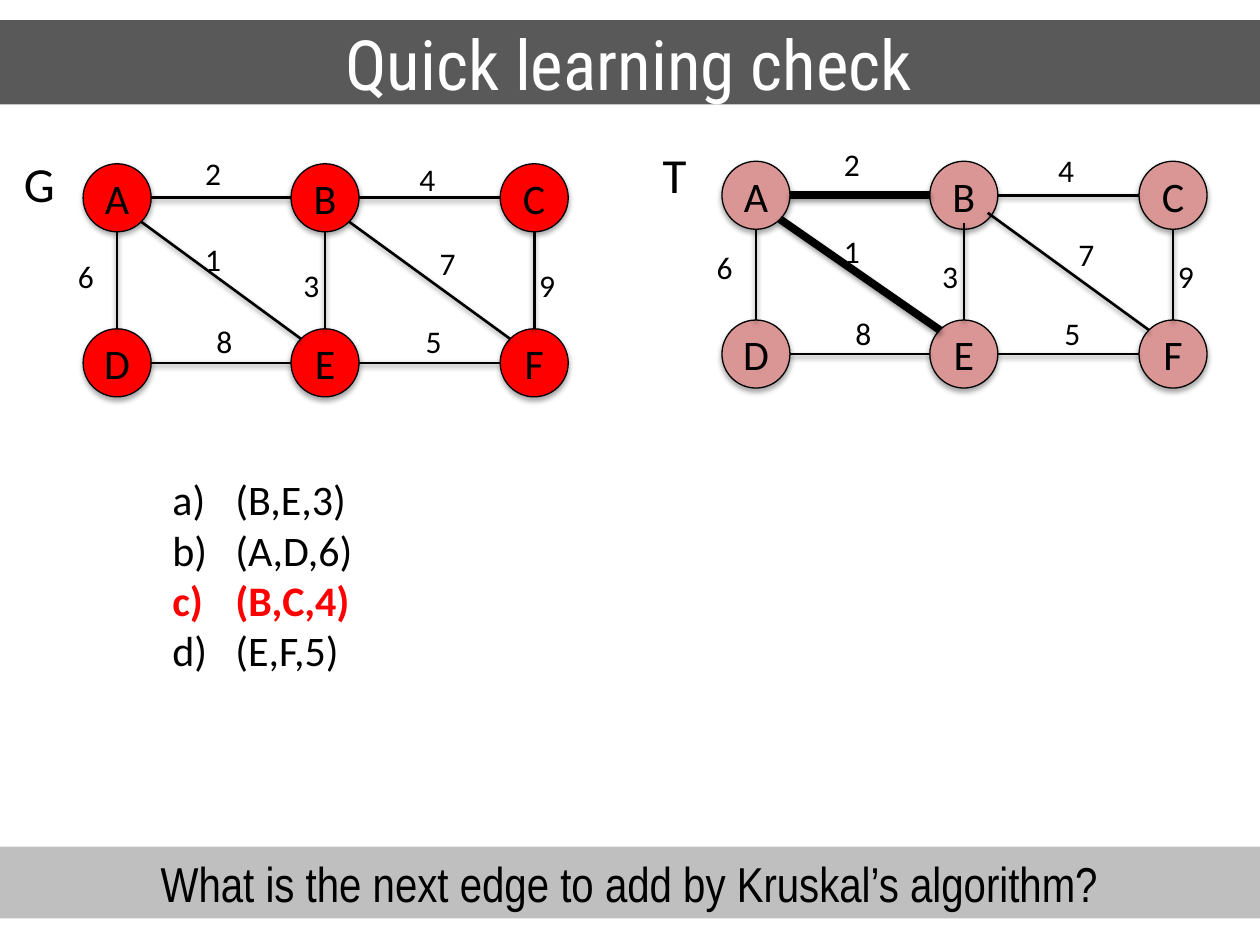
from dataclasses import dataclass

from lxml.etree import SubElement
from pptx import Presentation
from pptx.dml.color import RGBColor as Rgb
from pptx.enum.shapes import MSO_CONNECTOR as Link, MSO_SHAPE as Kind
from pptx.enum.text import MSO_ANCHOR as Anchor, MSO_AUTO_SIZE as Auto, PP_ALIGN as Align
from pptx.oxml.ns import qn
from pptx.util import Inches, Pt

COLORS = {
    "black": "000000", "white": "FFFFFF", "red": "FF0000",
    "rose": "D99694", "dark": "595959", "gray": "BFBFBF",
}
WIDE, HIGH = 10, 7.5
RADIUS = 0.27
DIAG = RADIUS * 0.7       # reach of a node towards a diagonal edge
COLS = (0, 1.65, 3.31)    # node centres, from the first column
RISE = 1.31               # usual gap between the two rows
NODES = {"A": (0, 0), "B": (1, 0), "C": (2, 0),
         "D": (0, 1), "E": (1, 1), "F": (2, 1)}


@dataclass(frozen=True)
class Edge:
    ends: str
    weight: str
    dx: float    # weight label, from the first column
    dy: float    # weight label, from the usual top row


@dataclass(frozen=True)
class Graph:
    name: str
    left: float
    top: float
    base: float
    fill: str
    chosen: tuple[str, ...] = ()


EDGES = (
    Edge("AB", "2", 0.6, -0.4), Edge("BC", "4", 2.3, -0.35),
    Edge("AD", "6", -0.41, 0.42), Edge("BE", "3", 1.38, 0.49),
    Edge("CF", "9", 3.25, 0.49), Edge("AE", "1", 0.6, 0.29),
    Edge("BF", "7", 2.46, 0.32), Edge("DE", "8", 0.69, 0.94),
    Edge("EF", "5", 2.35, 0.94),
)
GRAPHS = (
    Graph("G", 0.93, 1.57, 2.88, "red"),
    Graph("T", 6, 1.55, 2.81, "rose", ("AB", "AE")),
)
CHOICES = ("(B,E,3)", "(A,D,6)", "(B,C,4)", "(E,F,5)")
ANSWER = "(B,C,4)"

deck = Presentation()
deck.slide_width, deck.slide_height = Inches(WIDE), Inches(HIGH)
slide = deck.slides.add_slide(deck.slide_layouts[6])
shapes = slide.shapes


def color(name: str) -> Rgb:
    return Rgb.from_string(COLORS[name])


def style(para, size: float, face: str = "Calibri", ink: str = "black") -> None:
    para.font.size, para.font.name = Pt(size), face
    para.font.color.rgb = color(ink)


def shade(shape, alpha: int, dist: float) -> None:
    """Cast a soft black shadow straight down."""
    props = shape._element.spPr
    for old in props.findall(qn("a:effectLst")):
        props.remove(old)
    cast = SubElement(SubElement(props, qn("a:effectLst")), qn("a:outerShdw"),
                      blurRad=str(Pt(3.1)), dist=str(Pt(dist)),
                      dir="5400000", rotWithShape="0")
    tint = SubElement(cast, qn("a:srgbClr"), val=COLORS["black"])
    SubElement(tint, qn("a:alpha"), val=str(alpha * 1000))


def solid(kind, x: float, y: float, w: float, h: float, fill: str, text: str):
    """Add a filled shape with centred text; return it and its paragraph."""
    shape = shapes.add_shape(kind, *map(Inches, (x, y, w, h)))
    shape.shadow.inherit = False
    shape.fill.solid()
    shape.fill.fore_color.rgb = color(fill)
    shape.line.fill.background()
    frame = shape.text_frame
    frame.vertical_anchor = Anchor.MIDDLE
    para = frame.paragraphs[0]
    para.text, para.alignment = text, Align.CENTER
    return shape, para


def band(y: float, h: float, fill: str, text: str, *font) -> None:
    _, para = solid(Kind.RECTANGLE, -0.02, y, WIDE + 0.02, h, fill, text)
    style(para, *font)


def label(x: float, y: float, w: float, h: float, text: str, size: float):
    box = shapes.add_textbox(*map(Inches, (x, y, w, h)))
    frame = box.text_frame
    frame.word_wrap, frame.auto_size = False, Auto.SHAPE_TO_FIT_TEXT
    frame.text = text
    for para in frame.paragraphs:
        style(para, size)
    return frame


def node(graph: Graph, name: str) -> None:
    x, y = centre(graph, name)
    disc, para = solid(Kind.OVAL, x - RADIUS, y - RADIUS,
                       2 * RADIUS, 2 * RADIUS, graph.fill, name)
    disc.line.color.rgb, disc.line.width = color("black"), Pt(0.75)
    frame = disc.text_frame
    frame.margin_left = frame.margin_right = Inches(0.04)
    style(para, 24)
    shade(disc, 35, 1.8)


def centre(graph: Graph, name: str) -> tuple[float, float]:
    col, row = NODES[name]
    return graph.left + COLS[col], (graph.top, graph.base)[row]


def join(graph: Graph, edge: Edge) -> None:
    first, last = edge.ends
    (x1, y1), (x2, y2) = centre(graph, first), centre(graph, last)
    if first == "B" and y1 != y2:
        y1 = graph.base - RISE
    reach = DIAG if x1 != x2 and y1 != y2 else RADIUS
    dx, dy = reach * (x1 != x2), reach * (y1 != y2)
    line = shapes.add_connector(
        Link.STRAIGHT, *map(Inches, (x1 + dx, y1 + dy, x2 - dx, y2 - dy)))
    line.line.color.rgb = color("black")
    line.line.width = Pt(4.5 if edge.ends in graph.chosen else 1.5)
    shade(line, 38, 1.6)


def draw(graph: Graph) -> None:
    for name in NODES:
        node(graph, name)
    row = graph.base - RISE
    for edge in EDGES:
        join(graph, edge)
        label(graph.left + edge.dx, row + edge.dy, 0.33, 0.4, edge.weight, 18)
    label(graph.left - 0.84, row - 0.4, 0.42, 0.57, graph.name, 28)


def options() -> None:
    frame = label(1.27, 3.71, 1.63, 1.72, "\n".join(CHOICES), 24)
    for para in frame.paragraphs:
        props = para._p.get_or_add_pPr()
        props.set("marL", str(Inches(0.5)))
        props.set("indent", str(Inches(-0.5)))
        mark = props.makeelement(qn("a:buAutoNum"), {"type": "alphaLcParenR"})
        props.insert(0, mark)
        if para.text == ANSWER:
            para.font.bold = True
            para.font.color.rgb = color("red")


band(0.16, 0.67, "dark", "Quick learning check", 39.6, "Roboto Condensed", "white")
band(6.72, 0.57, "gray", "What is the next edge to add by Kruskal’s algorithm?",
     28, "Arial Narrow")
for graph in GRAPHS:
    draw(graph)
options()
deck.save("out.pptx")
